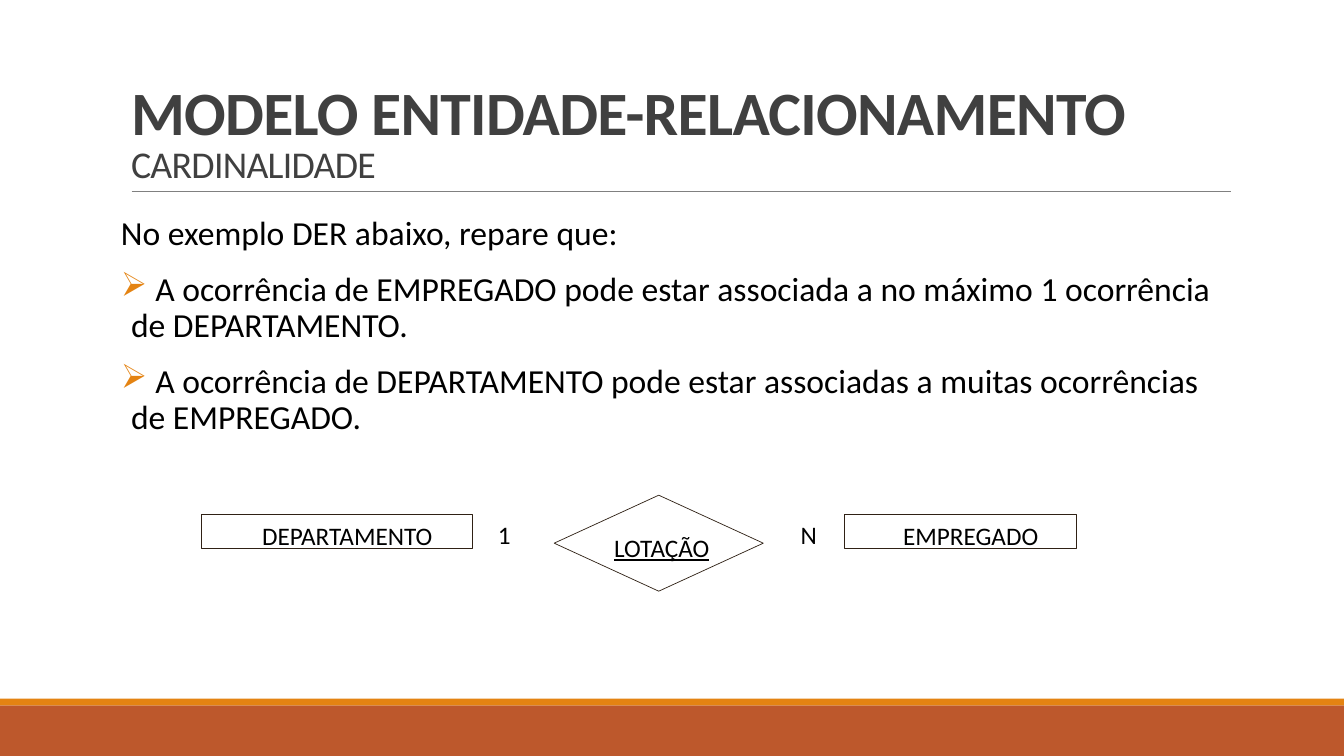
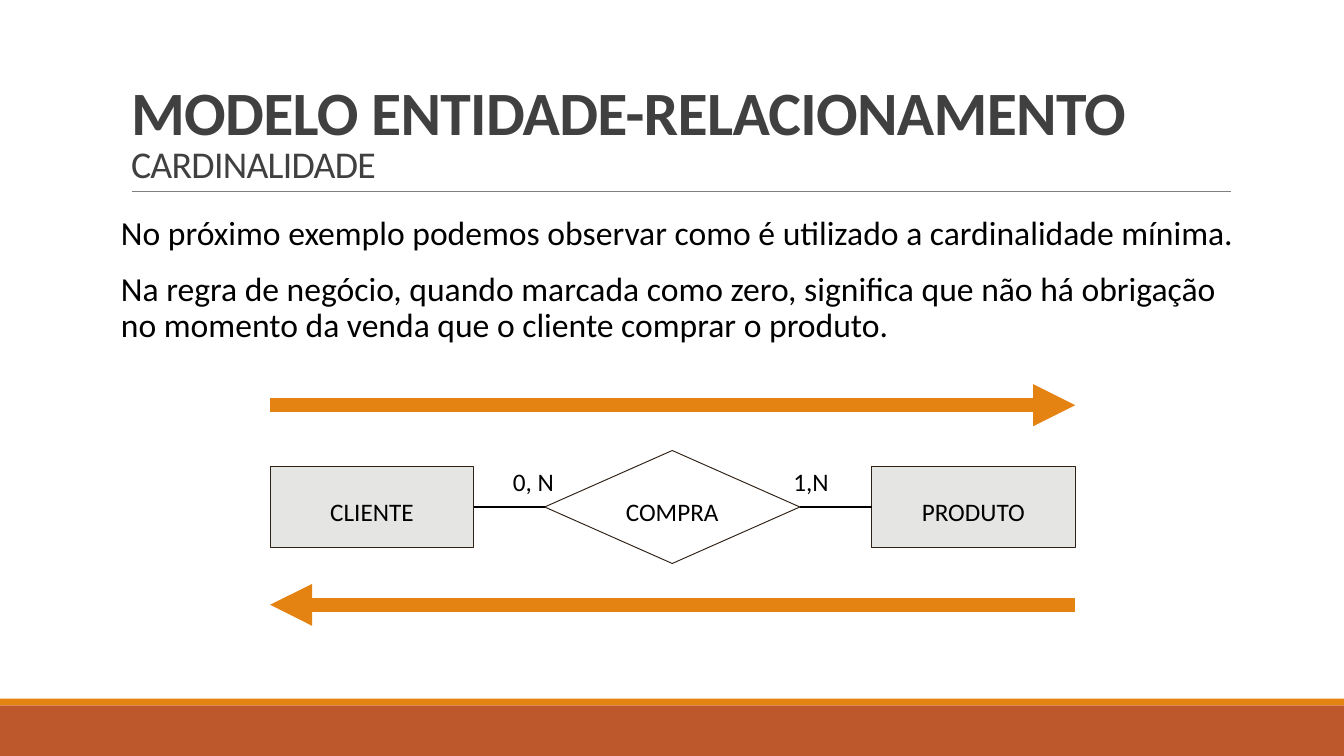
from dataclasses import dataclass

from lxml import etree
from pptx import Presentation
from pptx.dml.color import RGBColor
from pptx.enum.shapes import MSO_CONNECTOR, MSO_SHAPE
from pptx.enum.text import MSO_ANCHOR, MSO_AUTO_SIZE, PP_ALIGN
from pptx.oxml.ns import qn
from pptx.util import Inches, Pt

RECTANGLE, DIAMOND = MSO_SHAPE.RECTANGLE, MSO_SHAPE.DIAMOND
STRAIGHT = MSO_CONNECTOR.STRAIGHT
TOP, MIDDLE, BOTTOM = MSO_ANCHOR.TOP, MSO_ANCHOR.MIDDLE, MSO_ANCHOR.BOTTOM
LEFT, CENTER = PP_ALIGN.LEFT, PP_ALIGN.CENTER
NO_AUTOFIT = MSO_AUTO_SIZE.NONE

BLACK = RGBColor(0x00, 0x00, 0x00)
TITLE_GRAY = RGBColor(0x40, 0x40, 0x40)
RULE_GRAY = RGBColor(0x80, 0x80, 0x80)
RUST = RGBColor(0xBD, 0x58, 0x2C)
ORANGE = RGBColor(0xE4, 0x83, 0x12)
OUTLINE = RGBColor(0x2F, 0x21, 0x15)
ENTITY_GRAY = RGBColor(0xE5, 0xE5, 0xE4)

FONT = "Calibri"
TITLE_ONLY = 5
LEFT_SIDE, RIGHT_SIDE = 1, 3
LABEL_DROP = 0.04
BULLET = "➢"


@dataclass
class Box:
    left: float
    top: float
    width: float
    height: float

    def area(self, left, top, width, height):
        x, y = self.point(left, top)
        return Box(x, y, self.width * width / 100, self.height * height / 100)

    def point(self, x, y):
        return self.left + self.width * x / 100, self.top + self.height * y / 100

    def place(self):
        return [Inches(value) for value in (self.left, self.top, self.width, self.height)]


PAGE = Box(0, 0, 13.33, 7.5)


def format_run(run, size, color=BLACK, bold=False):
    run.font.name = FONT
    run.font.size = Pt(size)
    run.font.bold = bold
    run.font.color.rgb = color


def set_insets(text_frame, left=0, top=0, right=0, bottom=0):
    text_frame.margin_left, text_frame.margin_top = Inches(left), Inches(top)
    text_frame.margin_right, text_frame.margin_bottom = Inches(right), Inches(bottom)


def add_filled_shape(slide, kind, box, fill=None, line=None, line_width=0.5):
    shape = slide.shapes.add_shape(kind, *box.place())
    shape.shadow.inherit = False
    if fill is None:
        shape.fill.background()
    else:
        shape.fill.solid()
        shape.fill.fore_color.rgb = fill
    if line is None:
        shape.line.fill.background()
    else:
        shape.line.color.rgb = line
        shape.line.width = Pt(line_width)
    return shape


def add_line(slide, start, end, color, width, arrow=False):
    connector = slide.shapes.add_connector(
        STRAIGHT, *[Inches(value) for value in (*start, *end)])
    connector.line.color.rgb = color
    connector.line.width = Pt(width)
    properties = connector._element.spPr
    if arrow:
        outline = properties.find(qn("a:ln"))
        etree.SubElement(outline, qn("a:tailEnd"), type="triangle")
    etree.SubElement(properties, qn("a:effectLst"))
    return connector


def center_text(text_frame, text):
    text_frame.text = text
    text_frame.word_wrap = False
    text_frame.vertical_anchor = MIDDLE
    paragraph = text_frame.paragraphs[0]
    paragraph.alignment = CENTER
    format_run(paragraph.runs[0], 18)
    return paragraph.runs[0]


def add_node(slide, kind, box, text, fill=None, line_width=0.5, shift=0, underline=False):
    node = add_filled_shape(slide, kind, box, fill, OUTLINE, line_width)
    run = center_text(node.text_frame, text)
    if underline:
        run.font.underline = True
    set_insets(node.text_frame, left=2 * shift, top=2 * LABEL_DROP)
    return node


def add_cardinality(slide, center, text):
    x, y = center
    box = Box(x - 0.3, y - 0.2, 0.6, 0.4)
    text_box = slide.shapes.add_textbox(*box.place())
    set_insets(text_box.text_frame)
    center_text(text_box.text_frame, text)


def add_bands(slide, box):
    add_filled_shape(slide, RECTANGLE, box.area(0, 93.3, 100, 6.7), RUST)
    add_filled_shape(slide, RECTANGLE, box.area(0, 92.4, 100, 0.9), ORANGE)
    add_line(slide, box.point(9.8, 25.3), box.point(91.6, 25.3), RULE_GRAY, 0.5)


def add_title(slide, box, heading, subheading):
    title = slide.shapes.title
    title.left, title.top, title.width, title.height = box.place()
    text_frame = title.text_frame
    text_frame.text = heading + "\v" + subheading
    text_frame.word_wrap = True
    text_frame.auto_size = NO_AUTOFIT
    text_frame.vertical_anchor = BOTTOM
    set_insets(text_frame, 0.1, 0.05, 0.1, 0.05)
    paragraph = text_frame.paragraphs[0]
    paragraph.alignment = LEFT
    paragraph.line_spacing = 0.85
    for run, size, bold in zip(paragraph.runs, (44, 27), (True, False)):
        format_run(run, size, TITLE_GRAY, bold)
        run._r.get_or_add_rPr().set("spc", "-50")


def add_bullet(paragraph):
    properties = paragraph._p.get_or_add_pPr()
    properties.set("marL", str(Inches(0.1)))
    properties.set("indent", str(-Inches(0.1)))
    color = etree.SubElement(properties, qn("a:buClr"))
    etree.SubElement(color, qn("a:srgbClr"), val=str(ORANGE))
    etree.SubElement(properties, qn("a:buChar"), char=BULLET)


def add_body(slide, box, statements, bullets=()):
    text_frame = slide.shapes.add_textbox(*box.place()).text_frame
    text_frame.word_wrap = True
    text_frame.vertical_anchor = TOP
    set_insets(text_frame, top=0.05, bottom=0.05)
    text_frame.text = "\n".join([*statements, *bullets])
    for index, paragraph in enumerate(text_frame.paragraphs):
        paragraph.line_spacing = 0.9
        paragraph.space_before = Pt(12)
        paragraph.space_after = Pt(2)
        format_run(paragraph.runs[0], 24)
        if index >= len(statements):
            add_bullet(paragraph)


def add_assignment_diagram(slide, box):
    add_node(slide, DIAMOND, box.area(40.3, 0, 23.9, 100), "LOTAÇÃO",
             shift=0.03, underline=True)
    for left, width, text in ((0, 31, "DEPARTAMENTO"), (73.5, 26.5, "EMPREGADO")):
        add_node(slide, RECTANGLE, box.area(left, 20, width, 35), text, shift=0.1)
    for x, text in ((34.6, "1"), (69.4, "N")):
        add_cardinality(slide, box.point(x, 41), text)


def add_purchase_diagram(slide, box):
    customer, product = [
        add_node(slide, RECTANGLE, box.area(left, 30.8, 25.3, 40.4), text, ENTITY_GRAY, 0.67)
        for left, text in ((0, "CLIENTE"), (74.7, "PRODUTO"))]
    purchase = add_node(slide, DIAMOND, box.area(34.1, 22.7, 31.7, 56.6), "COMPRA",
                        line_width=0.67)
    for start, end, y in ((0, 100, 0), (100, 0, 100)):
        add_line(slide, box.point(start, y), box.point(end, y), ORANGE, 10, arrow=True)
    for x, text in ((32.7, "0, N"), (67.2, "1,N")):
        add_cardinality(slide, box.point(x, 38.4), text)
    middle = box.point(50, 51)
    for first, second in ((customer, purchase), (purchase, product)):
        link = add_line(slide, middle, middle, BLACK, 1)
        link.begin_connect(first, RIGHT_SIDE)
        link.end_connect(second, LEFT_SIDE)


def add_cardinality_slide(presentation):
    slide = presentation.slides.add_slide(presentation.slide_layouts[TITLE_ONLY])
    add_bands(slide, PAGE)
    add_title(slide, PAGE.area(9, 4.1, 82.5, 21.2),
              "MODELO ENTIDADE-RELACIONAMENTO", "CARDINALIDADE")
    return slide


def main():
    presentation = Presentation()
    presentation.slide_width = Inches(PAGE.width)
    presentation.slide_height = Inches(PAGE.height)

    slide = add_cardinality_slide(presentation)
    add_body(slide, PAGE.area(9, 28, 82.5, 63.3),
             ["No exemplo DER abaixo, repare que:"],
             [" A ocorrência de EMPREGADO pode estar associada a no máximo 1 ocorrência "
              "de DEPARTAMENTO.",
              " A ocorrência de DEPARTAMENTO pode estar associadas a muitas ocorrências "
              "de EMPREGADO."])
    add_assignment_diagram(slide, PAGE.area(15, 65.5, 65.1, 12.7))

    slide = add_cardinality_slide(presentation)
    add_body(slide, PAGE.area(9, 28, 83.8, 30.1),
             ["No próximo exemplo podemos observar como é utilizado a cardinalidade mínima.",
              "Na regra de negócio, quando marcada como zero, significa que não há obrigação "
              "no momento da venda que o cliente comprar o produto."])
    add_purchase_diagram(slide, PAGE.area(20.1, 53.6, 59.9, 26.4))

    presentation.save("out.pptx")


if __name__ == "__main__":
    main()
